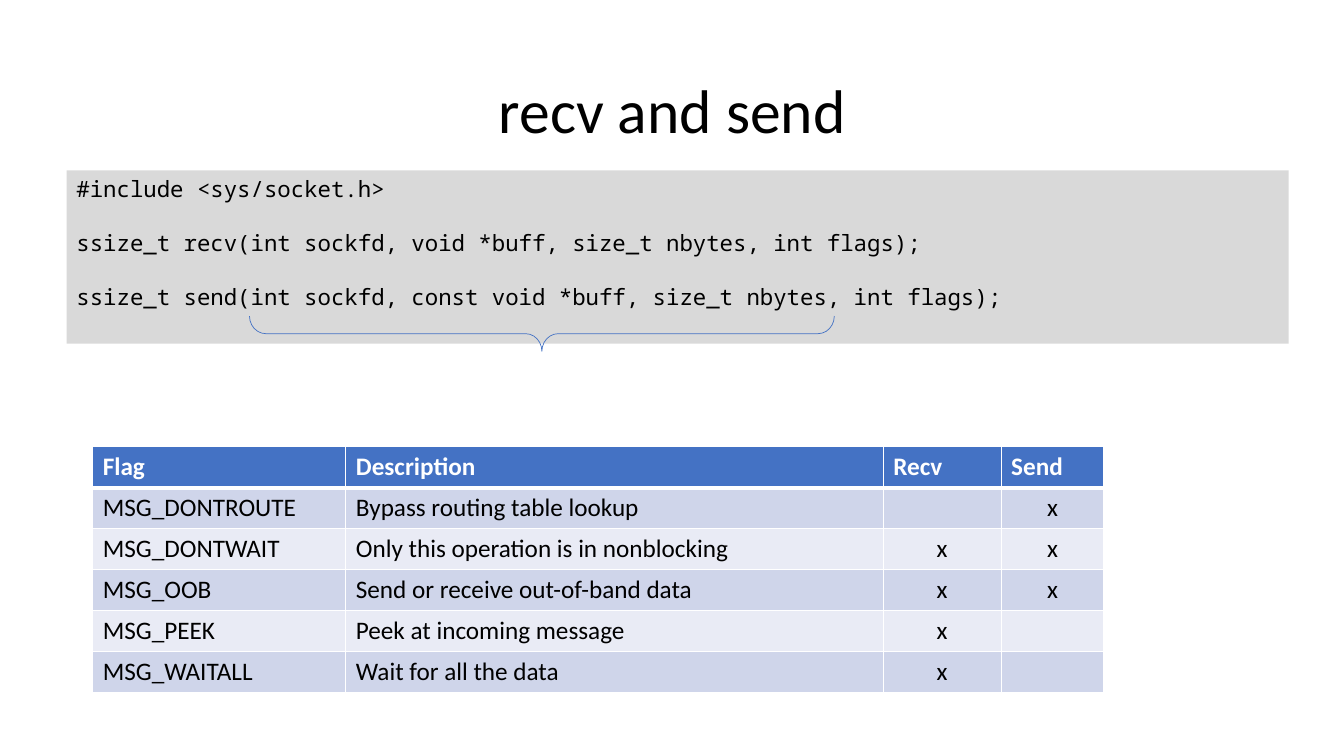
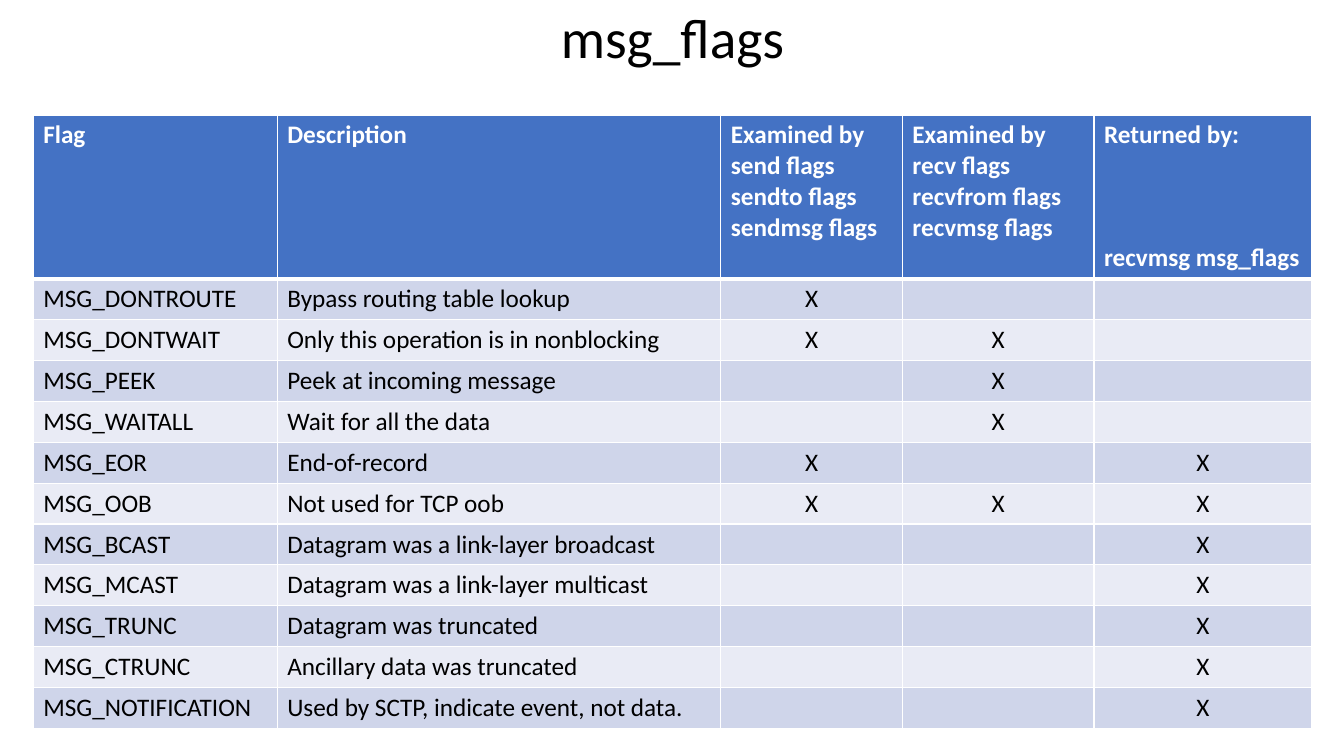
from dataclasses import dataclass

from lxml.etree import SubElement
from pptx import Presentation
from pptx.dml.color import RGBColor
from pptx.enum.shapes import MSO_SHAPE
from pptx.enum.text import MSO_ANCHOR, MSO_AUTO_SIZE, PP_ALIGN
from pptx.oxml.ns import qn
from pptx.util import Inches, Pt


@dataclass(frozen=True)
class Theme:
    """Colours, fonts and type sizes shared by the slides."""

    black: str = "000000"
    white: str = "FFFFFF"
    accent: str = "4472C4"
    code_fill: str = "D9D9D9"
    bands: tuple = ("CFD5EA", "E9EBF5")
    text_font: str = "Calibri"
    code_font: str = "Noto Sans Mono"
    title_size: float = 44
    small_title_size: float = 39.6
    table_size: float = 18
    table_line: float = 21.95
    code_size: float = 16
    code_line: float = 19.3
    cell_border: float = 1
    header_border: float = 3


THEME = Theme()

CODE = (
    "#include <sys/socket.h>",
    "ssize_t recv(int sockfd, void *buff, size_t nbytes, int flags);",
    "ssize_t send(int sockfd, const void *buff, size_t nbytes, int flags);",
)

CALL_FLAGS = (
    ("Flag", "Description", "Recv", "Send"),
    ("MSG_DONTROUTE", "Bypass routing table lookup", "", "x"),
    ("MSG_DONTWAIT", "Only this operation is in nonblocking", "x", "x"),
    ("MSG_OOB", "Send or receive out-of-band data", "x", "x"),
    ("MSG_PEEK", "Peek at incoming message", "x", ""),
    ("MSG_WAITALL", "Wait for all the data", "x", ""),
)

MESSAGE_FLAGS = (
    (
        "Flag",
        "Description",
        "Examined by\nsend flags\nsendto flags\nsendmsg flags",
        "Examined by\nrecv flags\nrecvfrom flags\nrecvmsg flags",
        "Returned by:\nrecvmsg msg_flags",
    ),
    ("MSG_DONTROUTE", "Bypass routing table lookup", "X", "", ""),
    ("MSG_DONTWAIT", "Only this operation is in nonblocking", "X", "X", ""),
    ("MSG_PEEK", "Peek at incoming message", "", "X", ""),
    ("MSG_WAITALL", "Wait for all the data", "", "X", ""),
    ("MSG_EOR", "End-of-record", "X", "", "X"),
    ("MSG_OOB", "Not used for TCP oob", "X", "X", "X"),
    ("MSG_BCAST", "Datagram was a link-layer broadcast", "", "", "X"),
    ("MSG_MCAST", "Datagram was a link-layer multicast", "", "", "X"),
    ("MSG_TRUNC", "Datagram was truncated", "", "", "X"),
    ("MSG_CTRUNC", "Ancillary data was truncated", "", "", "X"),
    ("MSG_NOTIFICATION", "Used by SCTP, indicate event, not data.", "", "", "X"),
)


def color(value):
    """Return the colour object for a hexadecimal value."""
    return RGBColor.from_string(value)


def inches(*lengths):
    """Convert several lengths to inches."""
    return [Inches(length) for length in lengths]


def add_run(paragraph, text, size, fill=THEME.black, font=THEME.text_font, bold=False):
    """Add one formatted run to a paragraph."""
    run = paragraph.add_run()
    run.text = text
    run.font.name = font
    run.font.size = Pt(size)
    run.font.bold = bold
    run.font.color.rgb = color(fill)


def write_lines(frame, lines, align=PP_ALIGN.LEFT, gap=0, line_height=None, **style):
    """Write one paragraph per line with a gap between them."""
    for index, line in enumerate(lines):
        paragraph = frame.paragraphs[0] if index == 0 else frame.add_paragraph()
        paragraph.alignment = align
        if index and gap:
            paragraph.space_before = Pt(gap)
        if line_height:
            paragraph.line_spacing = Pt(line_height)
        add_run(paragraph, line, **style)


def add_titled_slide(presentation, text, box, size):
    """Add a slide with its title placeholder placed and formatted."""
    slide = presentation.slides.add_slide(presentation.slide_layouts[5])
    title = slide.shapes.title
    title.left, title.top, title.width, title.height = inches(*box)
    frame = title.text_frame
    frame.word_wrap = True
    frame.auto_size = MSO_AUTO_SIZE.NONE
    frame.vertical_anchor = MSO_ANCHOR.MIDDLE
    write_lines(frame, [text], PP_ALIGN.CENTER, size=size)
    frame.paragraphs[0].line_spacing = 0.9
    return slide


def add_code_panel(slide, lines, box):
    """Add a grey panel of code with a blank line's gap between statements."""
    panel = slide.shapes.add_shape(MSO_SHAPE.RECTANGLE, *inches(*box))
    panel.shadow.inherit = False
    panel.fill.solid()
    panel.fill.fore_color.rgb = color(THEME.code_fill)
    panel.line.fill.background()
    frame = panel.text_frame
    frame.word_wrap = True
    frame.vertical_anchor = MSO_ANCHOR.TOP
    write_lines(frame, lines, gap=THEME.code_line, line_height=THEME.code_line,
                size=THEME.code_size, font=THEME.code_font)


def add_brace(slide, box):
    """Add a thin brace that points down."""
    brace = slide.shapes.add_shape(MSO_SHAPE.LEFT_BRACE, *inches(*box))
    brace.rotation = 270
    brace.adjustments[0] = 0.46
    brace.adjustments[1] = 0.5
    brace.shadow.inherit = False
    brace.fill.background()
    brace.line.color.rgb = color(THEME.accent)
    brace.line.width = Pt(0.5)


def set_borders(cell, top, bottom):
    """Give a cell white borders with the given top and bottom widths."""
    properties = cell._tc.get_or_add_tcPr()
    widths = {"L": THEME.cell_border, "R": THEME.cell_border, "T": top, "B": bottom}
    for side, width in widths.items():
        line = SubElement(properties, qn(f"a:ln{side}"), w=str(Pt(width)))
        fill = SubElement(line, qn("a:solidFill"))
        SubElement(fill, qn("a:srgbClr"), val=THEME.white)


def format_cell(cell, text, row, column):
    """Fill and write a cell according to its place in a flag table."""
    header = row == 0
    set_borders(
        cell,
        THEME.header_border if row == 1 else THEME.cell_border,
        THEME.header_border if header else THEME.cell_border,
    )
    cell.fill.solid()
    cell.fill.fore_color.rgb = color(THEME.accent if header else THEME.bands[(row - 1) % 2])
    lines = text.split("\n") if text else []
    write_lines(
        cell.text_frame,
        lines,
        PP_ALIGN.LEFT if header or column < 2 else PP_ALIGN.CENTER,
        gap=3 * THEME.table_line if len(lines) == 2 else 0,
        size=THEME.table_size,
        fill=THEME.white if header else THEME.black,
        bold=header,
    )


def add_flag_table(slide, rows, left, top, widths, height, header_height):
    """Add a banded flag table with equal body rows."""
    box = inches(left, top, sum(widths), height)
    table = slide.shapes.add_table(len(rows), len(widths), *box).table
    for column, width in zip(table.columns, widths):
        column.width = Inches(width)
    body_height = (height - header_height) / (len(rows) - 1)
    for row, texts in enumerate(rows):
        table.rows[row].height = Inches(body_height if row else header_height)
        for column, text in enumerate(texts):
            format_cell(table.cell(row, column), text, row, column)


def main():
    """Build and save the presentation."""
    presentation = Presentation()
    presentation.slide_width, presentation.slide_height = inches(13.33, 7.5)

    slide = add_titled_slide(presentation, "recv and send", (0.92, 0.4, 11.5, 1.45),
                             THEME.title_size)
    add_flag_table(slide, CALL_FLAGS, 0.92, 4.43, (2.51, 5.33, 1.17, 1.02),
                   height=2.43, header_height=0.41)
    add_code_panel(slide, CODE, (0.66, 1.69, 12.12, 1.72))
    add_brace(slide, (5.2, 0.41, 0.35, 5.8))

    slide = add_titled_slide(presentation, "msg_flags", (0.92, 0.05, 11.5, 0.7),
                             THEME.small_title_size)
    add_flag_table(slide, MESSAGE_FLAGS, 0.33, 1.14, (2.42, 4.4, 1.8, 1.9, 2.16),
                   height=6.08, header_height=1.62)

    presentation.save("out.pptx")


if __name__ == "__main__":
    main()
